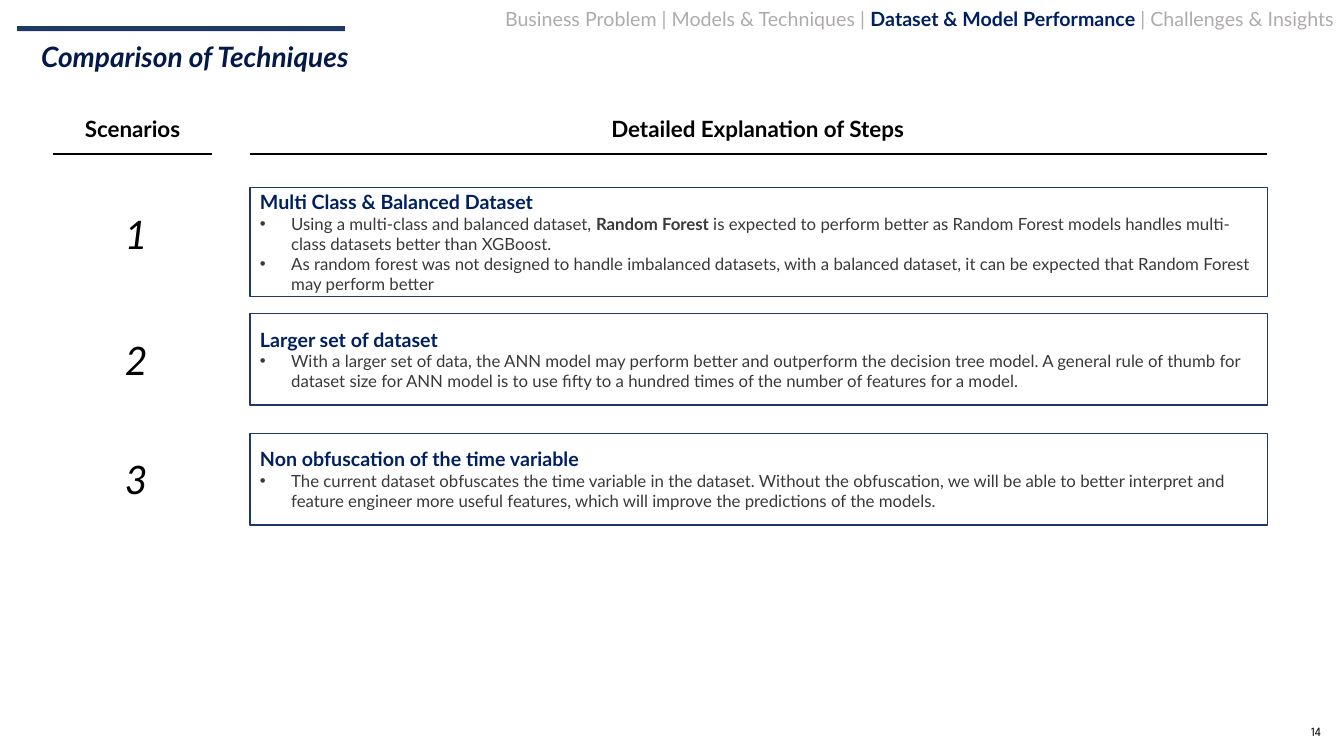
"""Build the slide that compares techniques over three dataset scenarios."""
import pptx
import pptx.dml.color
import pptx.enum.shapes
import pptx.enum.text
import pptx.oxml.xmlchemy
import pptx.util
from lxml import etree

COLORS = {
    "navy": "203864", "heading": "002060", "title": "041948",
    "muted": "AFABAB", "body": "3B3838", "black": "000000",
}
ALIGN = pptx.enum.text.PP_ALIGN
MIDDLE = pptx.enum.text.MSO_ANCHOR.MIDDLE
DRAWING = "http://schemas.openxmlformats.org/drawingml/2006/main"

deck = pptx.Presentation()
deck.slide_width = pptx.util.Inches(13.33)
deck.slide_height = pptx.util.Inches(7.5)
column = deck.slide_width / 133.3
row = deck.slide_height / 75
slide = deck.slides.add_slide(deck.slide_layouts[6])


def cells(left, top, width, height):
    return [int(left * column), int(top * row), int(width * column), int(height * row)]


def write(paragraph, text, size, color, bold=False, italic=False, font="Lato"):
    run = paragraph.add_run()
    run.text = text
    run.font.name = font
    run.font.size = pptx.util.Pt(size)
    run.font.bold = bold
    run.font.italic = italic
    run.font.color.rgb = pptx.dml.color.RGBColor.from_string(COLORS[color])


accent = slide.shapes.add_shape(
    pptx.enum.shapes.MSO_SHAPE.RECTANGLE, *cells(1.7, 2.6, 32.5, 0.5))
accent.shadow.inherit = False
accent.fill.solid()
accent.fill.fore_color.rgb = pptx.dml.color.RGBColor.from_string(COLORS["navy"])
accent.line.fill.background()

box_left, box_width = 24.8, 100.9
scenario_left, scenario_width = 5.3, 15.7
number_width = 3.7
number_left = scenario_left + (scenario_width - number_width) / 2 + 0.1

scenarios = [
    (18.6, 10.8, "Multi Class & Balanced Dataset", [
        [("Using a multi-class and balanced dataset, ", False),
         ("Random Forest ", True),
         ("is expected to perform better as Random Forest models handles "
          "multi-class datasets better than XGBoost.", False)],
        [("As random forest was not designed to handle imbalanced datasets, with a "
          "balanced dataset, it can be expected that Random Forest may perform better",
          False)],
    ]),
    (31.1, 9.1, "Larger set of dataset", [
        [("With a larger set of data, the ANN model may perform better and outperform "
          "the decision tree model. A general rule of thumb for dataset size for ANN "
          "model is to use fifty to a hundred times of the number of features for a "
          "model.", False)],
    ]),
    (43, 9.1, "Non obfuscation of the time variable", [
        [("The current dataset obfuscates the time variable in the dataset. Without "
          "the obfuscation, we will be able to better interpret and feature engineer "
          "more useful features, which will improve the predictions of the models.",
          False)],
    ]),
]

labels = [
    ((125.4, 71.2, 6.6, 2.7), ALIGN.RIGHT,
     [("14", 9, "black", False, False, "League Spartan")]),
    ((43, 0, 90.3, 3.8), ALIGN.RIGHT, [
        ("Business Problem | Models & Techniques | ", 14, "muted"),
        ("Dataset & Model Performance ", 14, "heading", True),
        ("| Challenges & Insights", 14, "muted"),
    ]),
    ((3.1, 3.8, 127.2, 6.8), ALIGN.LEFT,
     [("Comparison of Techniques", 20, "title", True, True)]),
    ((50.9, 10.8, 48.5, 3.9), ALIGN.CENTER,
     [("Detailed Explanation of Steps", 16, "black", True)]),
    ((scenario_left, 10.8, scenario_width, 3.9), ALIGN.CENTER,
     [("Scenarios", 16, "black", True)]),
]
for number, (box_top, *_) in enumerate(scenarios, start=1):
    labels.append(((number_left, box_top + 1, number_width, 7.1), ALIGN.CENTER,
                   [(str(number), 28, "black", False, True)]))

for area, alignment, runs in labels:
    label = slide.shapes.add_textbox(*cells(*area)).text_frame
    label.word_wrap = True
    label.vertical_anchor = MIDDLE
    label.paragraphs[0].alignment = alignment
    if alignment == ALIGN.LEFT:
        label.vertical_anchor = pptx.enum.text.MSO_ANCHOR.TOP
        label.paragraphs[0].line_spacing = 0.9
    for run in runs:
        write(label.paragraphs[0], *run)

for left, width in [(scenario_left, scenario_width), (box_left, box_width)]:
    start_x, rule_y, length, _ = cells(left, 15.3, width, 0)
    underline = slide.shapes.add_connector(
        pptx.enum.shapes.MSO_CONNECTOR.STRAIGHT,
        start_x, rule_y, start_x + length, rule_y)
    underline.line.width = pptx.util.Pt(1.5)
    underline.line.color.rgb = pptx.dml.color.RGBColor.from_string(COLORS["black"])
    etree.SubElement(underline._element.spPr, f"{{{DRAWING}}}effectLst")

for box_top, box_height, heading, points in scenarios:
    box = slide.shapes.add_shape(
        pptx.enum.shapes.MSO_SHAPE.RECTANGLE,
        *cells(box_left, box_top, box_width, box_height))
    box.shadow.inherit = False
    box.fill.background()
    box.line.width = pptx.util.Pt(1)
    box.line.color.rgb = pptx.dml.color.RGBColor.from_string(COLORS["navy"])
    explanation = box.text_frame
    explanation.word_wrap = True
    explanation.vertical_anchor = MIDDLE
    explanation.paragraphs[0].alignment = ALIGN.LEFT
    write(explanation.paragraphs[0], heading, 14, "heading", True)
    for point in points:
        bullet = explanation.add_paragraph()
        bullet.alignment = ALIGN.LEFT
        properties = bullet._p.get_or_add_pPr()
        indent = int(3.1 * column)
        properties.set("marL", str(indent))
        properties.set("indent", str(-indent))
        etree.SubElement(properties, f"{{{DRAWING}}}buFont", typeface="Arial")
        etree.SubElement(properties, f"{{{DRAWING}}}buChar", char="•")
        for text, bold in point:
            write(bullet, text, 12, "body", bold)

deck.save("out.pptx")
